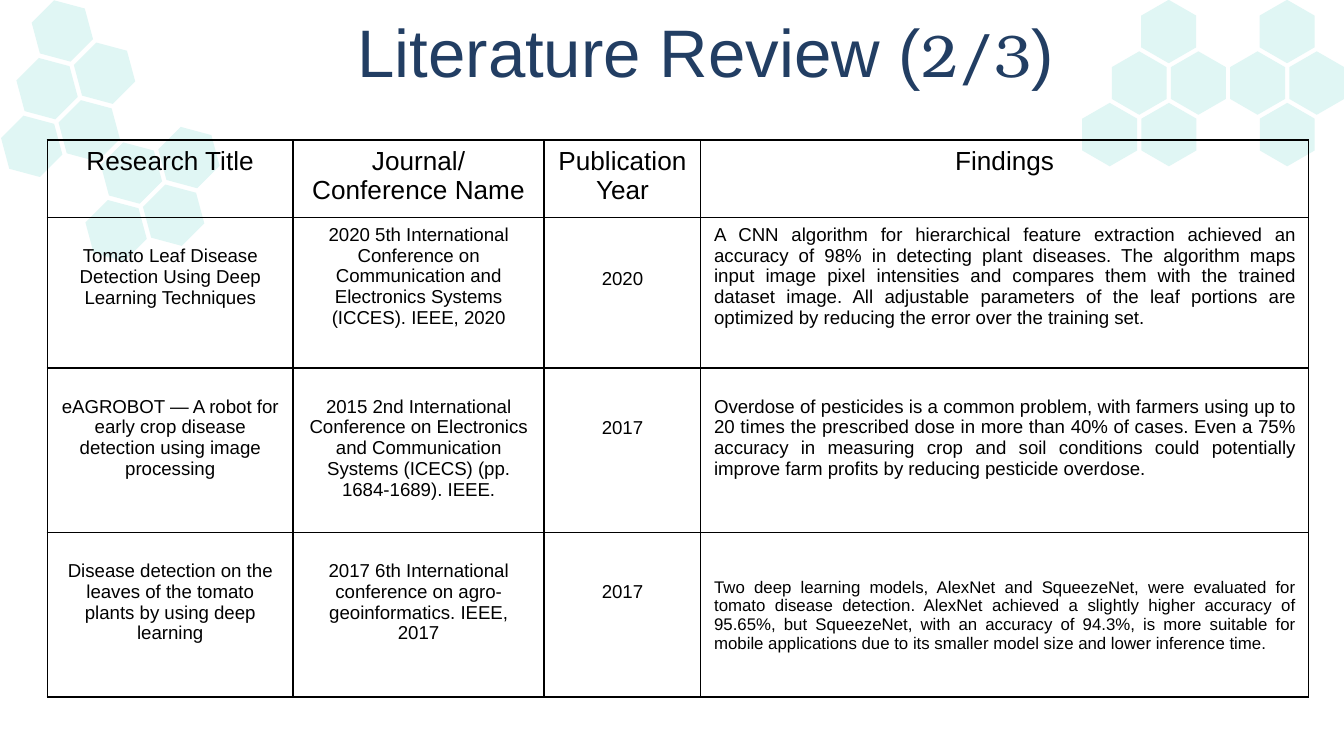
from math import cos, radians, sin

from lxml import etree
from pptx import Presentation
from pptx.dml.color import RGBColor
from pptx.enum.text import MSO_ANCHOR, MSO_AUTO_SIZE, PP_ALIGN
from pptx.oxml.ns import qn
from pptx.util import Pt

CENTER, JUSTIFY = PP_ALIGN.CENTER, PP_ALIGN.JUSTIFY
TOP, NO_AUTOFIT = MSO_ANCHOR.TOP, MSO_AUTO_SIZE.NONE

NAVY, MINT, BLACK = "223E63", "E0F6F4", "000000"
FONT = "Arial"

TITLE = [("Literature Review (", FONT, 36), ("2/3", "TeX Gyre Bonum", 32), (")", FONT, 36)]
TITLE_BOX = (79.2, 0, 597.6, 11.5)

HEADERS = ["Research Title", "Journal/Conference Name", "Publication Year", "Findings"]
PAPERS = [
    ["Tomato Leaf Disease Detection Using Deep\nLearning Techniques",
     "2020 5th International Conference on Communication and Electronics Systems (ICCES). IEEE, 2020",
     "2020",
     "A CNN algorithm for hierarchical feature extraction achieved an accuracy of 98% in detecting "
     "plant diseases. The algorithm maps input image pixel intensities and compares them with the "
     "trained dataset image. All adjustable parameters of the leaf portions are optimized by reducing "
     "the error over the training set."],
    ["eAGROBOT — A robot for early crop disease detection using image processing",
     "2015 2nd International Conference on Electronics and Communication Systems (ICECS) "
     "(pp. 1684-1689). IEEE.",
     "2017",
     "Overdose of pesticides is a common problem, with farmers using up to 20 times the prescribed "
     "dose in more than 40% of cases. Even a 75% accuracy in measuring crop and soil conditions could "
     "potentially improve farm profits by reducing pesticide overdose."],
    ["Disease detection on the leaves of the tomato plants by using deep learning",
     "2017 6th International conference on agro-geoinformatics. IEEE, 2017",
     "2017",
     "Two deep learning models, AlexNet and SqueezeNet, were evaluated for tomato disease detection. "
     "AlexNet achieved a slightly higher accuracy of 95.65%, but SqueezeNet, with an accuracy of "
     "94.3%, is more suitable for mobile applications due to its smaller model size and lower "
     "inference time."],
]
TEXT_DROPS = [[0, 0, 0, 0], [11.5, 0, 23.5, 0], [11.5, 11.5, 23, 11.5], [11.5, 11.5, 23, 20.7]]
FINDINGS_SIZES = [10, 10, 9]
TABLE_AT = (25.4, 75)
COL_WIDTHS = [131.5, 134.7, 83.8, 325.7]
ROW_HEIGHTS = [41.6, 80.6, 88.1, 88.1]

RADIUS = 17
HONEYCOMBS = [
    {"origin": (33.4, 16.6), "a": (22.6, 22.6), "b": (-8.2, 30.9), "tilt": 15,
     "cells": [(0, 0), (1, 0), (3, 0), (0, 1), (1, 1), (2, 1), (3, 1), (0, 2), (2, 2)]},
    {"origin": (626.1, 16.9), "a": (31.7, 0), "b": (-15.8, 27.6), "tilt": 30,
     "cells": [(0, 0), (2, 0), (0, 1), (1, 1), (2, 1), (3, 1), (0, 2), (1, 2), (3, 2)]},
]


def rgb(color):
    """Turn a hex string into a colour."""
    return RGBColor.from_string(color)


def style(font, name, size, color):
    """Set the look of a font."""
    font.name, font.size, font.bold = name, Pt(size), False
    font.color.rgb = rgb(color)


def add_hexagon(s, x, y, tilt):
    """Draw one hexagon around a centre point."""
    angles = [radians(tilt + 60 * i) for i in range(6)]
    points = [(Pt(x + RADIUS * cos(t)), Pt(y + RADIUS * sin(t))) for t in angles]
    builder = s.shapes.build_freeform(*points[0])
    builder.add_line_segments(points[1:], close=True)
    sp = builder.convert_to_shape()
    sp.shadow.inherit = False
    sp.fill.solid()
    sp.fill.fore_color.rgb = rgb(MINT)
    sp.line.fill.background()


def add_honeycombs(s):
    """Place the hexagons of each honeycomb on its lattice."""
    for comb in HONEYCOMBS:
        for i, j in comb["cells"]:
            x, y = (o + i * a + j * b for o, a, b in zip(comb["origin"], comb["a"], comb["b"]))
            add_hexagon(s, x, y, comb["tilt"])


def add_title(s):
    """Fill and place the title placeholder."""
    sp = s.shapes.title
    sp.left, sp.top, sp.width, sp.height = map(Pt, TITLE_BOX)
    tf = sp.text_frame
    tf.word_wrap, tf.auto_size, tf.vertical_anchor = True, NO_AUTOFIT, TOP
    tf.margin_left = tf.margin_right = tf.margin_top = tf.margin_bottom = Pt(7.2)
    p = tf.paragraphs[0]
    p.alignment = CENTER
    for text, name, size in TITLE:
        r = p.add_run()
        r.text = text
        style(r.font, name, size, NAVY)


def add_borders(cell):
    """Give a cell thin black lines on all sides."""
    tc_pr = cell._tc.get_or_add_tcPr()
    for side in ("a:lnL", "a:lnR", "a:lnT", "a:lnB"):
        ln = etree.SubElement(tc_pr, qn(side), w=str(Pt(1)))
        fill = etree.SubElement(ln, qn("a:solidFill"))
        etree.SubElement(fill, qn("a:srgbClr"), val=BLACK)


def fill_cell(cell, text, size, align, drop):
    """Write one table cell, its text lowered by the drop."""
    add_borders(cell)
    cell.fill.background()
    cell.vertical_anchor = TOP
    cell.margin_left = cell.margin_right = Pt(7.2)
    cell.margin_top, cell.margin_bottom = Pt(3.6 + drop), Pt(3.6)
    cell.text_frame.text = text
    for p in cell.text_frame.paragraphs:
        p.alignment = align
        for r in p.runs:
            style(r.font, FONT, size, BLACK)


def add_review_table(s):
    """Build the table of reviewed papers."""
    rows = [HEADERS] + PAPERS
    box = (*TABLE_AT, sum(COL_WIDTHS), sum(ROW_HEIGHTS))
    table = s.shapes.add_table(len(rows), len(HEADERS), *map(Pt, box)).table
    table.first_row = table.horz_banding = False
    for column, width in zip(table.columns, COL_WIDTHS):
        column.width = Pt(width)
    for i, texts in enumerate(rows):
        table.rows[i].height = Pt(ROW_HEIGHTS[i])
        for j, text in enumerate(texts):
            findings = i > 0 and j == 3
            size = 14 if i == 0 else FINDINGS_SIZES[i - 1] if findings else 10
            align = JUSTIFY if findings else CENTER
            fill_cell(table.cell(i, j), text, size, align, TEXT_DROPS[i][j])


def main():
    """Build and save the slide."""
    prs = Presentation()
    prs.slide_width, prs.slide_height = Pt(720), Pt(405)
    s = prs.slides.add_slide(prs.slide_layouts[5])
    add_honeycombs(s)
    add_title(s)
    add_review_table(s)
    prs.save("out.pptx")


if __name__ == "__main__":
    main()
